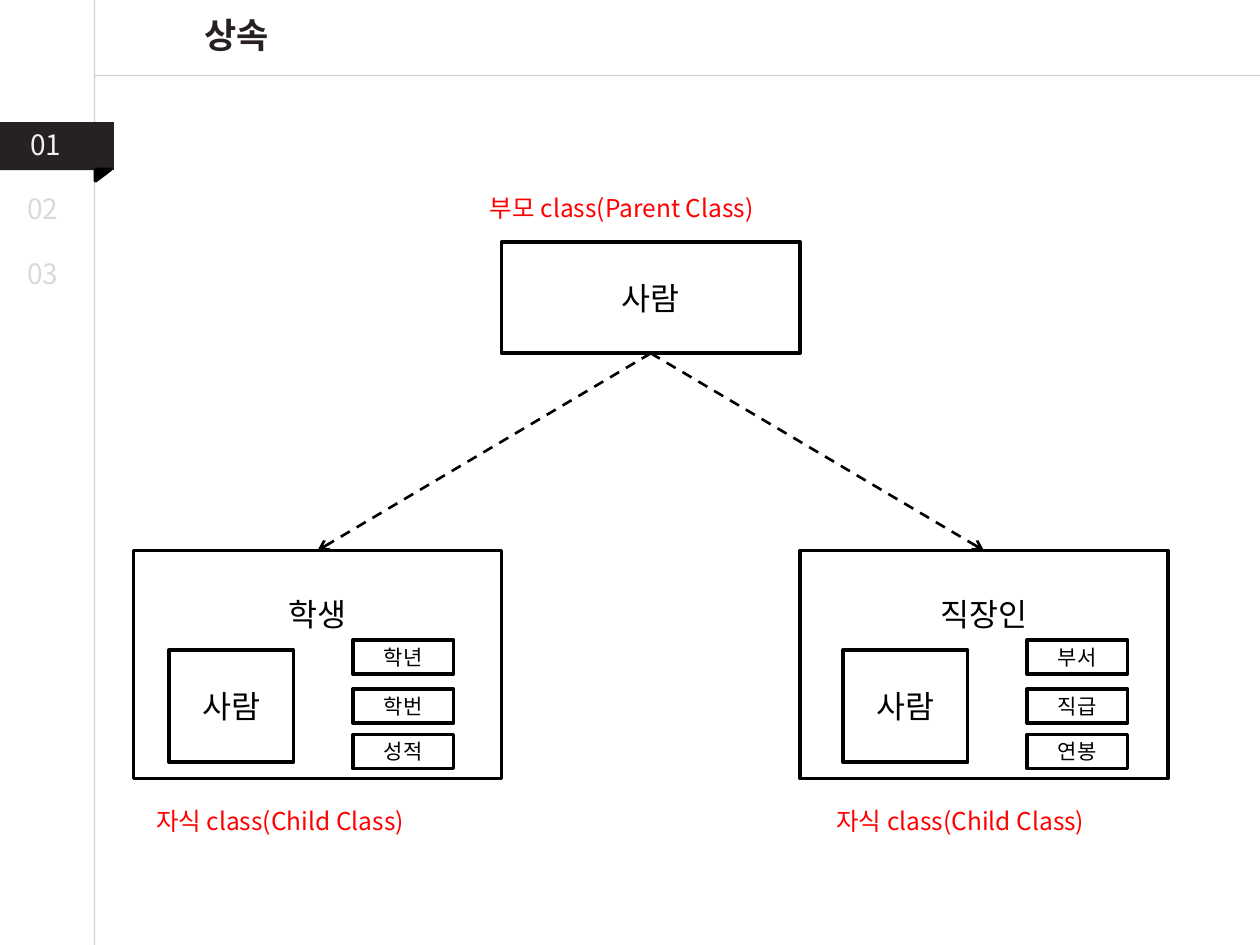
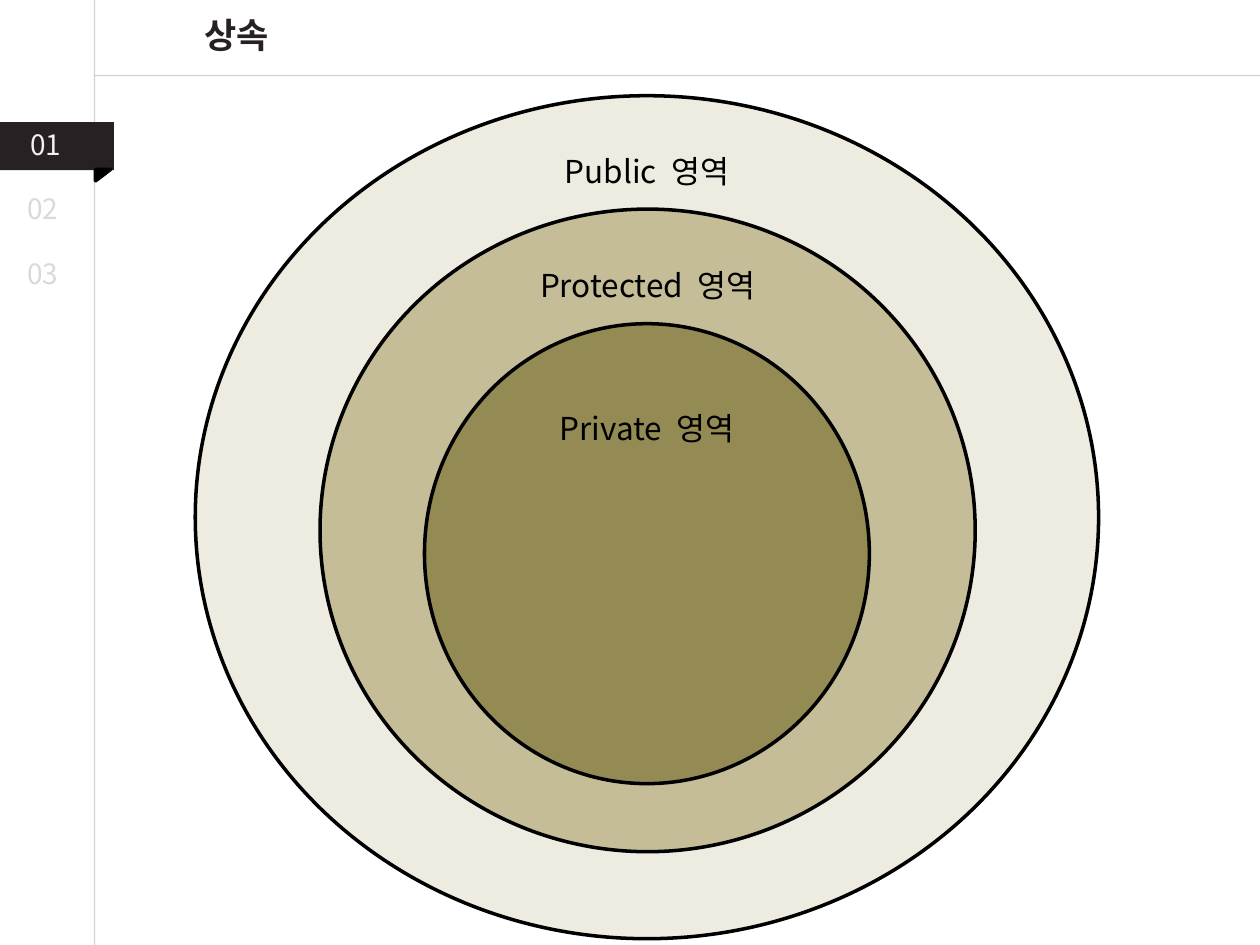
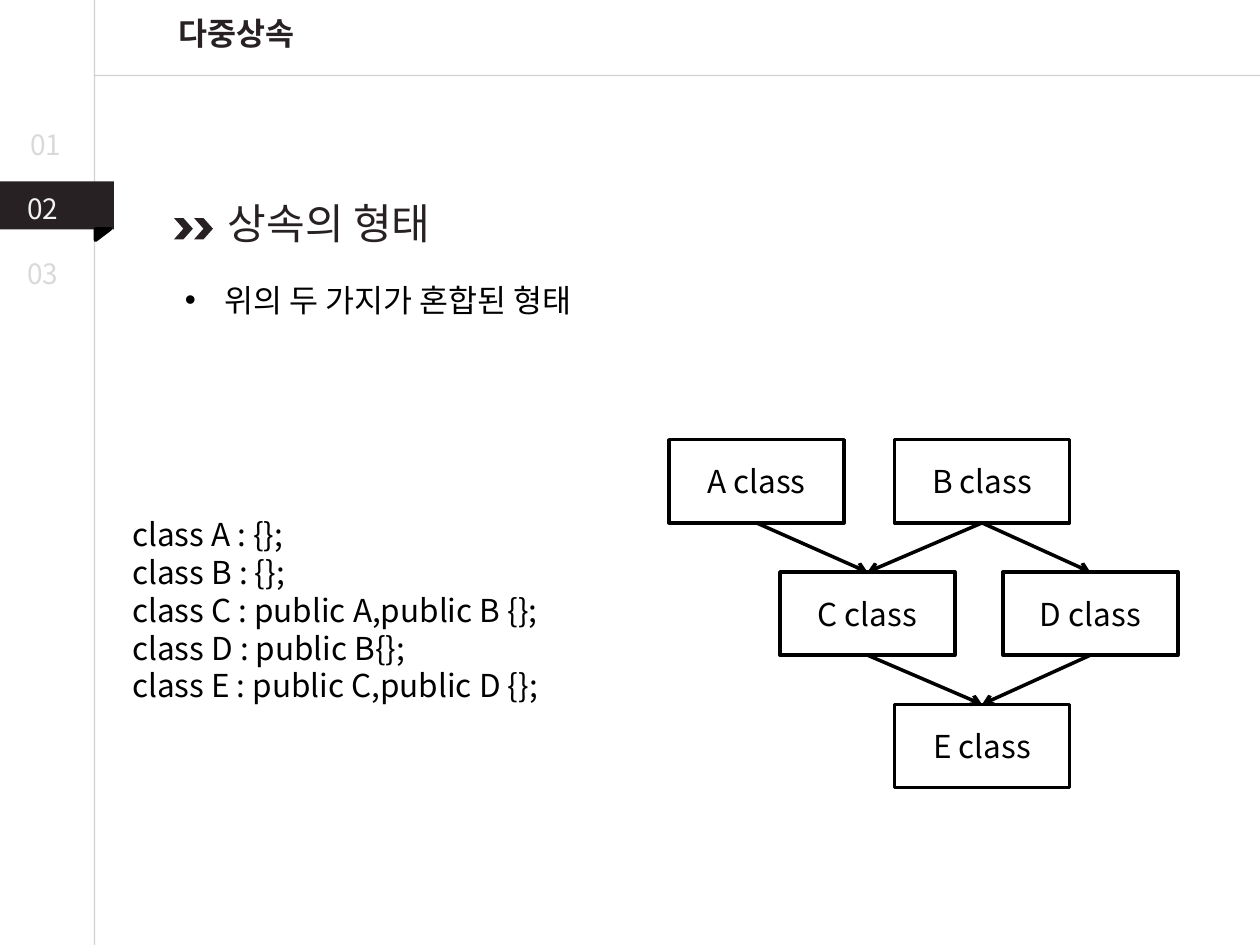
from dataclasses import dataclass
from typing import NamedTuple

from lxml.etree import SubElement
from pptx import Presentation
from pptx.dml.color import RGBColor
from pptx.enum.dml import MSO_LINE
from pptx.enum.shapes import MSO_CONNECTOR, MSO_SHAPE
from pptx.enum.text import MSO_ANCHOR, MSO_AUTO_SIZE, PP_ALIGN
from pptx.oxml.ns import qn
from pptx.shapes.autoshape import Shape
from pptx.shapes.connector import Connector
from pptx.slide import Slide
from pptx.text.text import TextFrame
from pptx.util import Pt


@dataclass(frozen=True)
class Theme:
    """Fonts, colours and type sizes shared by all slides."""
    font: str = "Noto Sans CJK KR"
    ink: str = "272123"
    black: str = "000000"
    red: str = "FF0000"
    rule: str = "A6A6A6"
    tab_active: str = "F2F2F2"
    tab_idle: str = "D9D9D9"
    zone_fills: tuple[str, ...] = ("EEECE1", "C4BD97", "948A54")
    title: float = 20
    heading: float = 24
    body: float = 18
    tab: float = 16
    label: float = 14
    small: float = 12
    leading: float = 1.2
    outline: float = 2


THEME = Theme()
WIDTH, HEIGHT = 720, 540
MARGIN_X, RULE_Y = 54, 43.2


class Area(NamedTuple):
    """Place and size in points."""
    left: float
    top: float
    width: float
    height: float

    def lengths(self) -> list[Pt]:
        """Return the four values as lengths."""
        return [Pt(value) for value in self]


class Tab(NamedTuple):
    """A chapter number at the left edge, and the top of its band."""
    number: str
    left: float
    top: float
    band_top: float


class Child(NamedTuple):
    """A child class with its own members."""
    name: str
    left: float
    base_left: float
    members_left: float
    label_left: float
    members: tuple[str, ...]


class Zone(NamedTuple):
    """An access zone drawn as an ellipse with a caption."""
    name: str
    area: Area
    caption_top: float


TABS = (
    Tab("01", 10.1, 69.1, 69.8),
    Tab("02", 8.6, 105.8, 103.7),
    Tab("03", 8.6, 143.3, 141),
)
CHILDREN = (
    Child("학생", 76.3, 96.5, 201.6, 82.1, ("학년", "학번", "성적")),
    Child("직장인", 457.2, 481.7, 586.8, 470.9, ("부서", "직급", "연봉")),
)
ZONES = (
    Zone("Public", Area(111.6, 54.7, 516.2, 481.7), 83.5),
    Zone("Protected", Area(182.9, 119.5, 374.4, 367.2), 148.3),
    Zone("Private", Area(242.6, 185, 254.2, 262.8), 230.4),
)
CLASS_CORNERS = {  # left edge in points, row number
    "A": (382.3, 0),
    "B": (511.2, 0),
    "C": (445.7, 1),
    "D": (573.1, 1),
    "E": (511.2, 2),
}
CLASS_LINKS = ("AC", "BC", "BD", "CE", "DE")
CODE = (
    "class A : {};",
    "class B : {};",
    "class C : public A,public B {};",
    "class D : public B{};",
    "class E : public C,public D {};",
)


def style_text(frame: TextFrame, size: float, color: str = THEME.black,
               align: PP_ALIGN = PP_ALIGN.LEFT, bold: bool = False) -> None:
    """Format every paragraph and run of a text frame."""
    for para in frame.paragraphs:
        para.alignment = align
        para.line_spacing = Pt(size * THEME.leading)
        para.space_before = Pt(0)
        for span in para.runs:
            span.font.size = Pt(size)
            span.font.bold = bold
            span.font.color.rgb = RGBColor.from_string(color)
            span.font.name = THEME.font
            east_asian = SubElement(span.font._element, qn("a:ea"))
            east_asian.set("typeface", THEME.font)


def add_text(page: Slide, area: Area, text: str, size: float,
             color: str = THEME.black, align: PP_ALIGN = PP_ALIGN.LEFT,
             wrap: bool = True) -> TextFrame:
    """Add a text box that grows with its text."""
    frame = page.shapes.add_textbox(*area.lengths()).text_frame
    frame.word_wrap = wrap
    frame.auto_size = MSO_AUTO_SIZE.SHAPE_TO_FIT_TEXT
    frame.text = text
    style_text(frame, size, color, align)
    return frame


def add_figure(page: Slide, kind: MSO_SHAPE, area: Area,
               fill: str | None = None, outlined: bool = True) -> Shape:
    """Add a preset shape with an optional fill and black outline."""
    figure = page.shapes.add_shape(kind, *area.lengths())
    figure.shadow.inherit = False
    if fill:
        figure.fill.solid()
        figure.fill.fore_color.rgb = RGBColor.from_string(fill)
    else:
        figure.fill.background()
    if outlined:
        figure.line.color.rgb = RGBColor.from_string(THEME.black)
        figure.line.width = Pt(THEME.outline)
    else:
        figure.line.fill.background()
    return figure


def add_box(page: Slide, area: Area, text: str,
            size: float = THEME.body) -> Shape:
    """Add an outlined rectangle with centred text."""
    box = add_figure(page, MSO_SHAPE.RECTANGLE, area)
    box.text_frame.text = text
    style_text(box.text_frame, size, align=PP_ALIGN.CENTER)
    return box


def add_line(page: Slide, start: tuple[float, float], end: tuple[float, float],
             color: str, width: float) -> Connector:
    """Add a straight line without a shadow."""
    line = page.shapes.add_connector(
        MSO_CONNECTOR.STRAIGHT, *(Pt(value) for value in start + end))
    line.line.color.rgb = RGBColor.from_string(color)
    line.line.width = Pt(width)
    SubElement(line._element.spPr, qn("a:effectLst"))
    return line


def add_rule(page: Slide, start: tuple[float, float],
             end: tuple[float, float]) -> None:
    """Add a half-transparent grey frame line."""
    line = add_line(page, start, end, THEME.rule, 0.75)
    color = line._element.spPr.find(".//" + qn("a:srgbClr"))
    SubElement(color, qn("a:alpha")).set("val", "50000")


def add_arrow(page: Slide, source: Shape, target: Shape,
              width: float = THEME.outline, dashed: bool = False) -> None:
    """Point from the bottom of one box to the top of another."""
    arrow = add_line(page, (0, 0), (0, 0), THEME.black, width)
    arrow.begin_connect(source, 2)
    arrow.end_connect(target, 0)
    if dashed:
        arrow.line.dash_style = MSO_LINE.DASH
    outline = arrow._element.spPr.find(qn("a:ln"))
    SubElement(outline, qn("a:tailEnd")).set("type", "arrow")


def add_tabs(page: Slide, active: str) -> None:
    """Draw the chapter numbers and the band behind the active one."""
    for tab in TABS:
        color = THEME.tab_idle
        if tab.number == active:
            color = THEME.tab_active
            band = Area(0, tab.band_top, 65.2, 27.4)
            add_figure(page, MSO_SHAPE.RECTANGLE, band, THEME.ink, False)
            fold = Area(55.6, tab.band_top + 26, 6.5, 8.6)
            add_figure(page, MSO_SHAPE.RIGHT_TRIANGLE, fold,
                       THEME.black).rotation = 90
        add_text(page, Area(tab.left, tab.top, 42.5, 26.6), tab.number,
                 THEME.tab, color)


def add_page(deck: Presentation, title: str, active: str,
             title_size: float = THEME.title) -> Slide:
    """Add a slide with frame lines, chapter tabs and title."""
    page = deck.slides.add_slide(deck.slide_layouts[5])
    add_rule(page, (MARGIN_X, 0), (MARGIN_X, HEIGHT))
    add_rule(page, (WIDTH, RULE_Y), (MARGIN_X, RULE_Y))
    add_tabs(page, active)
    heading = page.shapes.title
    heading.left, heading.top, heading.width, heading.height = Area(
        58.3, 4.3, 154.1, 31.7).lengths()
    frame = heading.text_frame
    frame.text = title
    frame.vertical_anchor = MSO_ANCHOR.TOP
    frame.auto_size = MSO_AUTO_SIZE.NONE
    style_text(frame, title_size, THEME.ink, PP_ALIGN.CENTER, bold=True)
    return page


def add_child(page: Slide, child: Child) -> Shape:
    """Draw a child class holding its base part and its members."""
    outer = add_box(page, Area(child.left, 314.6, 210.2, 130.3), child.name)
    outer.text_frame.vertical_anchor = MSO_ANCHOR.TOP
    outer.text_frame.margin_top = Pt(25.2)
    add_box(page, Area(child.base_left, 371.5, 71.3, 64.1), "사람")
    for member, top in zip(child.members, (365.8, 393.8, 419.8)):
        add_box(page, Area(child.members_left, top, 57.6, 19.4), member,
                THEME.small)
    add_text(page, Area(child.label_left, 457.2, 189.4, 24.5),
             "자식 class(Child Class)", THEME.label, THEME.red, wrap=False)
    return outer


def build_inheritance(deck: Presentation) -> None:
    """Build the slide of a parent class and its two children."""
    page = add_page(deck, "상속", "01")
    parent = add_box(page, Area(286.6, 138.2, 170.6, 63.7), "사람")
    add_text(page, Area(272.9, 106.6, 198, 24.5), "부모 class(Parent Class)",
             THEME.label, THEME.red, wrap=False)
    for child in CHILDREN:
        add_arrow(page, parent, add_child(page, child), 1.5, dashed=True)


def build_access_zones(deck: Presentation) -> None:
    """Build the slide of nested access zones."""
    page = add_page(deck, "상속", "01")
    for zone, fill in zip(ZONES, THEME.zone_fills):
        add_figure(page, MSO_SHAPE.OVAL, zone.area, fill)
        center = zone.area.left + zone.area.width / 2
        caption = Area(center - 79, zone.caption_top, 158, 28.8)
        frame = add_text(page, caption, zone.name, THEME.body)
        for text in (" ", "영역"):
            frame.paragraphs[0].add_run().text = text
        style_text(frame, THEME.body, align=PP_ALIGN.CENTER)
        gap = frame.paragraphs[0].runs[1]
        gap.font._element.set("spc", "400")


def build_multiple_inheritance(deck: Presentation) -> None:
    """Build the slide of code and diagram for multiple inheritance."""
    page = add_page(deck, "다중상속", "02", THEME.body)
    for left in (110.9, 99.4):
        add_figure(page, MSO_SHAPE.CHEVRON, Area(left, 124.6, 10.8, 12.2),
                   THEME.ink, False)
    add_text(page, Area(123.1, 109.4, 283, 36), "상속의 형태",
             THEME.heading, THEME.ink)
    point = add_text(page, Area(98.6, 157, 504, 28.8),
                     "위의 두 가지가 혼합된 형태", THEME.body)
    properties = point.paragraphs[0]._p.get_or_add_pPr()
    properties.set("marL", str(Pt(22.5)))
    properties.set("indent", str(-Pt(22.5)))
    SubElement(properties, qn("a:buFont")).set("typeface", "Arial")
    SubElement(properties, qn("a:buChar")).set("char", "•")
    add_text(page, Area(68.4, 290.9, 320.4, 116.6), "\n".join(CODE),
             THEME.body)
    boxes = {
        name: add_box(page, Area(left, 251.3 + 75.6 * row, 100, 47.5),
                      f"{name} class")
        for name, (left, row) in CLASS_CORNERS.items()
    }
    for source, target in CLASS_LINKS:
        add_arrow(page, boxes[source], boxes[target])


def main() -> None:
    """Build and save the deck."""
    deck = Presentation()
    deck.slide_width, deck.slide_height = Pt(WIDTH), Pt(HEIGHT)
    build_inheritance(deck)
    build_access_zones(deck)
    build_multiple_inheritance(deck)
    deck.save("out.pptx")


main()
